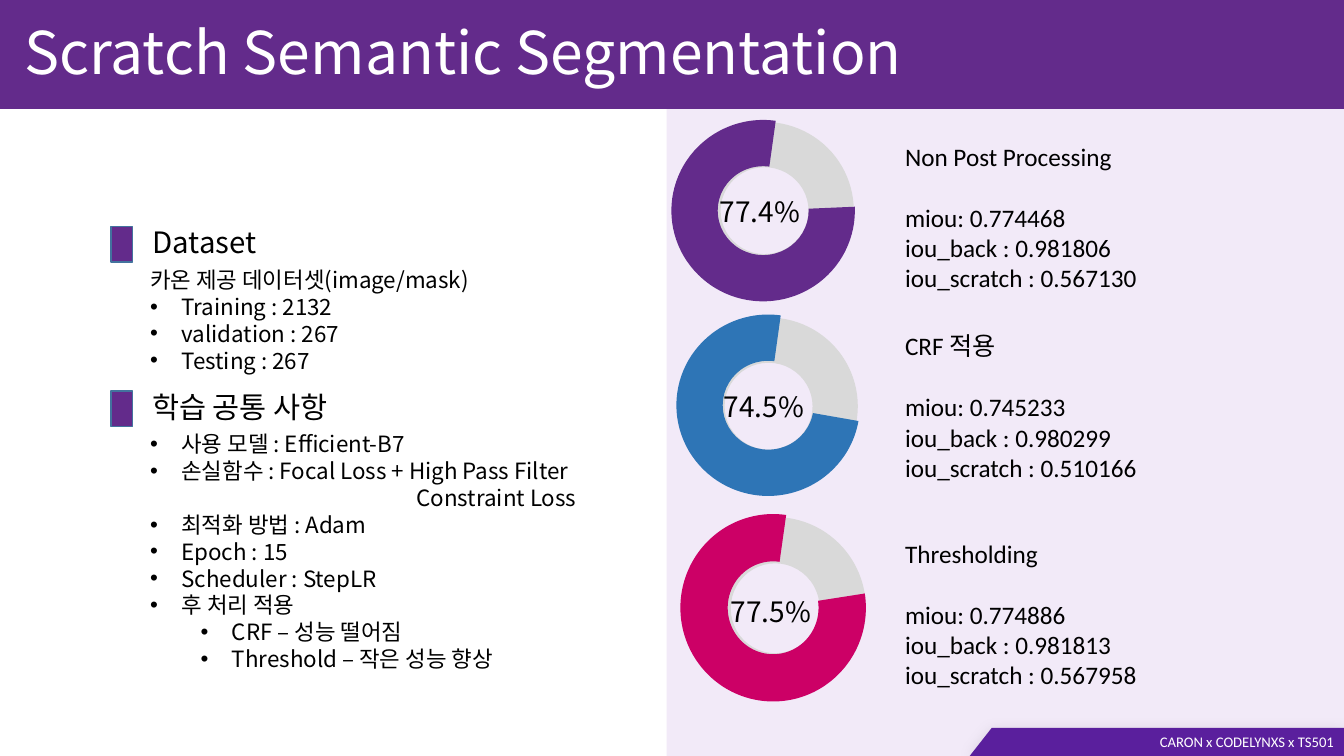
"""Build the scratch segmentation results slide."""
from dataclasses import dataclass

from lxml import etree
from pptx import Presentation
from pptx.dml.color import RGBColor
from pptx.enum.shapes import MSO_SHAPE
from pptx.enum.text import MSO_ANCHOR, MSO_AUTO_SIZE, PP_ALIGN
from pptx.oxml.ns import qn
from pptx.util import Inches, Pt

RECTANGLE, DONUT, ARC = MSO_SHAPE.RECTANGLE, MSO_SHAPE.DONUT, MSO_SHAPE.BLOCK_ARC
TOP, FIXED = MSO_ANCHOR.TOP, MSO_AUTO_SIZE.NONE
LEFT, RIGHT = PP_ALIGN.LEFT, PP_ALIGN.RIGHT

WIDTH, HEIGHT = Inches(13.33), Inches(7.5)
COLUMN, ROW = WIDTH / 100, HEIGHT / 100
COLORS = {"purple": "632B8B", "blue": "2E75B6", "pink": "CC0066", "gray": "D9D9D9",
          "panel": "E4D3F1", "edge": "43739E", "footer": "5A1F9D",
          "black": "000000", "white": "FFFFFF"}
SANS, CALIBRI = "Noto Sans CJK KR", "Calibri"
ARC_END, RING_DEPTH = 112.79, 0.255


@dataclass(frozen=True)
class Box:
    left: float
    top: float
    width: float
    height: float

    def lengths(self) -> dict[str, int]:
        return {"left": round(self.left * COLUMN), "top": round(self.top * ROW),
                "width": round(self.width * COLUMN), "height": round(self.height * ROW)}


@dataclass(frozen=True)
class Style:
    size: float
    color: str = "black"
    font: str = SANS
    line: float | None = None
    align: int = LEFT


@dataclass(frozen=True)
class Line:
    text: str
    margin: float = 0
    indent: float = 0
    bullet: bool = False
    level: int = 0
    before: float = 0


@dataclass(frozen=True)
class Section:
    top: float
    height: float
    heading: str
    lines: list[Line]
    heading_index: int
    list_index: int


@dataclass(frozen=True)
class Gauge:
    ring: Box
    arc: Box
    share: Box
    scores_top: float
    color: str
    start: float
    percent: str
    scores: list[str]


def item(text: str, level: int = 0) -> Line:
    return Line(text, 0.31 + level * 0.5, -0.31, True, level)


TITLE_STYLE = Style(42, "white", line=51)
HEADING_STYLE = Style(21, line=26.5)
LIST_STYLE = Style(16, line=19.2)
PERCENT_STYLE = Style(20, line=24.5)
SCORES_STYLE = Style(18, font=CALIBRI)
FOOTER_STYLE = Style(10.5, "white", CALIBRI, align=RIGHT)

SECTIONS = [
    Section(28.8, 19.33, "Dataset", [
        Line("카온 제공 데이터셋(image/mask)"), item("Training : 2132"),
        item("validation : 267"), item("Testing : 267")], 1, 2),
    Section(50.53, 40.8, "학습 공통 사항", [
        item("사용 모델 : Efficient-B7"),
        item("손실함수 : Focal Loss + High Pass Filter"),
        Line("Constraint Loss", 2.64), item("최적화 방법 : Adam"), item("Epoch : 15"),
        item("Scheduler : StepLR"), item("후 처리 적용"),
        item("CRF – 성능 떨어짐", 1), item("Threshold – 작은 성능 향상", 1)], 3, 4),
]
GAUGES = [
    Gauge(Box(50.25, 16.13, 13.28, 23.47), Box(50.03, 15.73, 13.5, 24.27),
          Box(52.8, 24.93, 8.03, 5.87), 18, "purple", 160.53, "77.4%",
          ["Non Post Processing", "miou: 0.774468", "iou_back : 0.981806",
           "iou_scratch : 0.567130"]),
    Gauge(Box(50.55, 42, 13.28, 23.47), Box(50.4, 41.47, 13.5, 24.27),
          Box(53.1, 50.8, 8.03, 5.87), 43.07, "blue", 167.95, "74.5%",
          ["CRF 적용", "miou: 0.745233", "iou_back : 0.980299",
           "iou_scratch : 0.510166"]),
    Gauge(Box(50.93, 68.4, 13.5, 24.13), Box(50.55, 68.13, 13.95, 24.53),
          Box(53.63, 77.87, 8.03, 5.87), 70.53, "pink", 156.69, "77.5%",
          ["Thresholding", "miou: 0.774886", "iou_back : 0.981813",
           "iou_scratch : 0.567958"]),
]


def rgb(name: str) -> RGBColor:
    return RGBColor.from_string(COLORS[name])


def paint(shape, color: str, edge: str | None = None) -> None:
    shape.shadow.inherit = False
    shape.fill.solid()
    shape.fill.fore_color.rgb = rgb(color)
    if edge:
        shape.line.color.rgb = rgb(edge)
        shape.line.width = Pt(1)
    else:
        shape.line.fill.background()


def add_figure(slide, kind: int, box: Box, color: str, edge: str | None = None):
    shape = slide.shapes.add_shape(kind, **box.lengths())
    paint(shape, color, edge)
    return shape


def write(shape, lines: list[Line], style: Style, wrap: bool = True) -> None:
    frame = shape.text_frame
    for name, value in {"word_wrap": wrap, "auto_size": FIXED,
                        "vertical_anchor": TOP}.items():
        setattr(frame, name, value)
    for number, line in enumerate(lines):
        paragraph = frame.add_paragraph() if number else frame.paragraphs[0]
        properties = paragraph._p.get_or_add_pPr()
        properties.set("marL", str(Inches(line.margin)))
        properties.set("indent", str(Inches(line.indent)))
        if line.bullet:
            etree.SubElement(properties, qn("a:buFont")).set("typeface", "Arial")
            etree.SubElement(properties, qn("a:buChar")).set("char", "•")
        else:
            etree.SubElement(properties, qn("a:buNone"))
        spacing = Pt(style.line) if style.line else 1.0
        for name, value in {"level": line.level, "alignment": style.align,
                            "line_spacing": spacing, "space_after": Pt(0),
                            "space_before": Pt(line.before)}.items():
            setattr(paragraph, name, value)
        run = paragraph.add_run()
        run.text = line.text
        for name, value in {"name": style.font, "size": Pt(style.size),
                            "bold": False}.items():
            setattr(run.font, name, value)
        run.font.color.rgb = rgb(style.color)
        latin = run._r.get_or_add_rPr().find(qn("a:latin"))
        latin.addnext(etree.Element(qn("a:ea"), typeface=SANS))


def add_text(slide, box: Box, lines: list[Line], style: Style, wrap: bool = False) -> None:
    write(slide.shapes.add_textbox(**box.lengths()), lines, style, wrap)


def fill_placeholder(shape, box: Box, lines: list[Line], style: Style) -> None:
    for name, value in box.lengths().items():
        setattr(shape, name, value)
    write(shape, lines, style)


def add_section(slide, section: Section) -> None:
    add_figure(slide, RECTANGLE, Box(8.25, section.top + 1.2, 1.6, 4.67), "purple", "edge")
    fill_placeholder(slide.placeholders[section.heading_index],
                     Box(10.58, section.top, 47.5, 6.27), [Line(section.heading)], HEADING_STYLE)
    fill_placeholder(slide.placeholders[section.list_index],
                     Box(10.43, section.top + 5.73, 47.5, section.height),
                     section.lines, LIST_STYLE)


def add_gauge(slide, gauge: Gauge) -> None:
    ring = add_figure(slide, DONUT, gauge.ring, "gray")
    ring.adjustments[0] = RING_DEPTH
    arc = add_figure(slide, ARC, gauge.arc, gauge.color)
    arc.rotation = 90
    for index, value in enumerate((gauge.start, ARC_END, RING_DEPTH)):
        arc.adjustments[index] = value
    add_text(slide, gauge.share, [Line(gauge.percent)], PERCENT_STYLE)
    scores = [Line(text, before=22 if number == 1 else 0)
              for number, text in enumerate(gauge.scores)]
    add_text(slide, Box(66.6, gauge.scores_top, 18.9, 21.6), scores, SCORES_STYLE)


def add_footer(slide) -> None:
    corners = [(round(x * COLUMN), round(y * ROW)) for x, y in
               ((73.8, 96.27), (100, 96.27), (100, 100), (72.15, 100))]
    builder = slide.shapes.build_freeform(*corners[0])
    builder.add_line_segments(corners[1:], close=True)
    ribbon = builder.convert_to_shape()
    paint(ribbon, "footer")
    effects = ribbon.element.spPr.find(qn("a:effectLst"))
    shadow = etree.SubElement(effects, qn("a:outerShdw"), blurRad=str(Pt(11)),
                              dist=str(Pt(2)), dir="5400000")
    color = etree.SubElement(shadow, qn("a:srgbClr"), val=COLORS["black"])
    etree.SubElement(color, qn("a:alpha"), val="13000")
    add_text(slide, Box(81.53, 96.27, 18.47, 3.73),
             [Line("CARON x CODELYNXS x TS501")], FOOTER_STYLE, True)


def main() -> None:
    presentation = Presentation()
    presentation.slide_width, presentation.slide_height = WIDTH, HEIGHT
    slide = presentation.slides.add_slide(presentation.slide_layouts[4])
    title = slide.shapes.title
    panel = add_figure(slide, RECTANGLE, Box(49.6, 0, 50.4, 100), "panel")
    tint = panel.element.spPr.find(qn("a:solidFill"))[0]
    etree.SubElement(tint, qn("a:alpha"), val="47000")
    banner = add_figure(slide, RECTANGLE, Box(0, 0, 100, 14.4), "purple")
    for backdrop in (panel, banner):
        title.element.addprevious(backdrop.element)
    fill_placeholder(title, Box(1.05, 1.33, 72.15, 10.8),
                     [Line("Scratch Semantic Segmentation")], TITLE_STYLE)
    for section in SECTIONS:
        add_section(slide, section)
    for gauge in GAUGES:
        add_gauge(slide, gauge)
    add_footer(slide)
    presentation.save("out.pptx")


if __name__ == "__main__":
    main()
